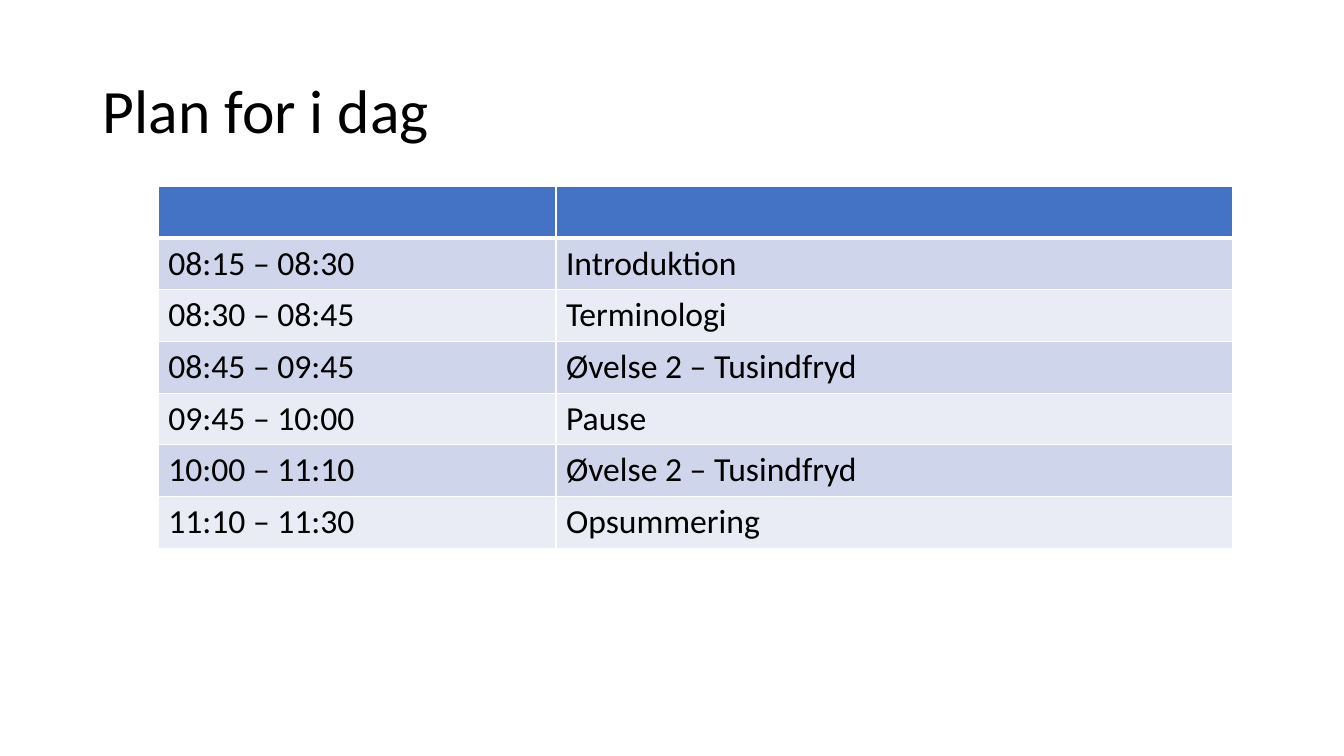
from dataclasses import dataclass

from lxml import etree
from pptx import Presentation
from pptx import util as u
from pptx.dml.color import RGBColor
from pptx.enum import text
from pptx.oxml import ns


@dataclass(frozen=True)
class Theme:
    """Colours, font and type sizes of the deck."""
    font: str = "Calibri"
    ink: str = "000000"
    header: str = "4472C4"
    bands: tuple = ("CFD5EA", "E9EBF5")
    rule: str = "FFFFFF"
    title_size: int = 44
    table_size: int = 24


THEME = Theme()
AGENDA = [
    ("", ""),
    ("08:15 – 08:30", "Introduktion"),
    ("08:30 – 08:45", "Terminologi"),
    ("08:45 – 09:45", "Øvelse 2 – Tusindfryd"),
    ("09:45 – 10:00", "Pause"),
    ("10:00 – 11:10", "Øvelse 2 – Tusindfryd"),
    ("11:10 – 11:30", "Opsummering"),
]


def style_text(para, size):
    """Give a paragraph and its runs the theme font, ink and a size."""
    for font in [para.font] + [span.font for span in para.runs]:
        font.name = THEME.font
        font.size = u.Pt(size)
        font.bold = False
        font.color.rgb = RGBColor.from_string(THEME.ink)


def add_border(cell, side, width):
    """Draw one border of a cell; side is L, R, T or B, width in points."""
    properties = cell._tc.get_or_add_tcPr()
    line = etree.SubElement(properties, ns.qn(f"a:ln{side}"), w=str(u.Pt(width)))
    fill = etree.SubElement(line, ns.qn("a:solidFill"))
    etree.SubElement(fill, ns.qn("a:srgbClr"), val=THEME.rule)


def place_title(page, box, words):
    """Fill the title placeholder and fit it to its box."""
    title = page.shapes.title
    title.left, title.top, title.width, title.height = map(u.Inches, box)
    frame = title.text_frame
    frame.text = words
    frame.word_wrap = True
    frame.vertical_anchor = text.MSO_ANCHOR.MIDDLE
    para = frame.paragraphs[0]
    para.alignment = text.PP_ALIGN.LEFT
    para.line_spacing = 0.9
    style_text(para, THEME.title_size)


def place_agenda(page, box, rows, first_share):
    """Add the banded table of times and topics, with equal row heights."""
    left, top, width, height = map(u.Inches, box)
    table = page.shapes.add_table(len(rows), 2, left, top, width, height).table
    table.horz_banding = False
    table.columns[0].width = int(width * first_share)
    table.columns[1].width = width - table.columns[0].width
    for r, entries in enumerate(rows):
        table.rows[r].height = height // len(rows)
        colour = THEME.bands[(r - 1) % 2] if r else THEME.header
        for c, words in enumerate(entries):
            cell = table.cell(r, c)
            cell.text = words
            style_text(cell.text_frame.paragraphs[0], THEME.table_size)
            for side in "LRTB":
                under_header = (r, side) in ((0, "B"), (1, "T"))
                add_border(cell, side, 3 if under_header else 1)
            cell.fill.solid()
            cell.fill.fore_color.rgb = RGBColor.from_string(colour)


def build_plan_slide(deck):
    """Add the slide with the plan of the day."""
    page = deck.slides.add_slide(deck.slide_layouts[5])
    place_title(page, (0.92, 0.4, 11.5, 1.45), "Plan for i dag")
    place_agenda(page, (1.57, 1.85, 10.66, 3.59), AGENDA, 0.37)


deck = Presentation()
deck.slide_width, deck.slide_height = u.Inches(13.33), u.Inches(7.5)
build_plan_slide(deck)
deck.save("out.pptx")
